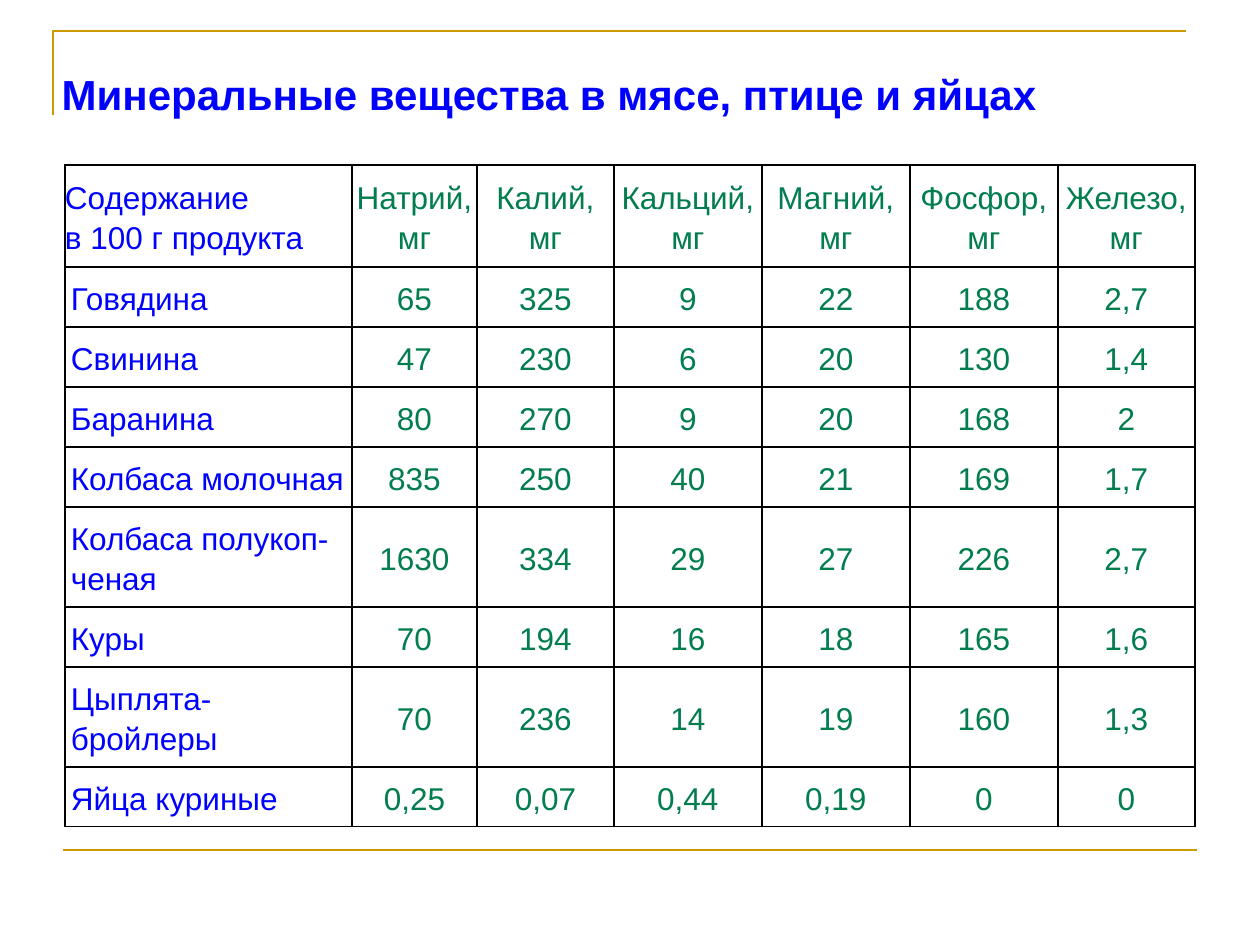
from dataclasses import dataclass

import pptx
import pptx.dml.color
import pptx.enum.text
import pptx.oxml
import pptx.oxml.ns
import pptx.util
from pptx.enum.shapes import MSO_CONNECTOR

PX = 914400 / 126  # EMU in one px


def px(length):
    return pptx.util.Emu(round(length * PX))


def rgb(value):
    return pptx.dml.color.RGBColor.from_string(value)


@dataclass(frozen=True)
class Theme:
    font: str = "Arial"
    label: str = "0000FF"
    value: str = "017D4E"
    rule: str = "CC9900"
    border: str = "000000"
    title_size: int = 24
    table_size: int = 18
    rule_width: float = 1.5
    border_width: int = 1
    line_spacing: float = 1.15


class SlideBuilder:
    def __init__(self, slide, theme):
        self.slide = slide
        self.theme = theme

    def style_line(self, line):
        line.color.rgb = rgb(self.theme.rule)
        line.width = pptx.util.Pt(self.theme.rule_width)

    def style_runs(self, paragraph, size, color, bold=False):
        for run in paragraph.runs:
            run.font.name = self.theme.font
            run.font.size = pptx.util.Pt(size)
            run.font.bold = bold
            run.font.color.rgb = rgb(color)

    def corner(self, start, *points):
        outline = self.slide.shapes.build_freeform(*start, scale=PX)
        outline.add_line_segments(points, close=False)
        bracket = outline.convert_to_shape()
        bracket.shadow.inherit = False
        bracket.fill.background()
        self.style_line(bracket.line)

    def rule(self, x1, y1, x2, y2):
        rule = self.slide.shapes.add_connector(
            MSO_CONNECTOR.STRAIGHT, px(x1), px(y1), px(x2), px(y2))
        self.style_line(rule.line)
        pptx.oxml.ns.qn("a:effectLst")
        rule._element.spPr.append(pptx.oxml.parse_xml(
            f"<a:effectLst {pptx.oxml.ns.nsdecls('a')}/>"))

    def title(self, text, left, top, width, height):
        heading = self.slide.shapes.title
        heading.left, heading.top = px(left), px(top)
        heading.width, heading.height = px(width), px(height)
        frame = heading.text_frame
        frame.text = text
        frame.word_wrap = True
        frame.auto_size = pptx.enum.text.MSO_AUTO_SIZE.SHAPE_TO_FIT_TEXT
        frame.vertical_anchor = pptx.enum.text.MSO_ANCHOR.TOP
        paragraph = frame.paragraphs[0]
        paragraph.alignment = pptx.enum.text.PP_ALIGN.LEFT
        self.style_runs(paragraph, self.theme.title_size, self.theme.label, bold=True)

    def borders(self, cell):
        width = pptx.util.Pt(self.theme.border_width)
        properties = cell._tc.get_or_add_tcPr()
        for side in "LRTB":
            properties.append(pptx.oxml.parse_xml(
                f'<a:ln{side} {pptx.oxml.ns.nsdecls("a")} w="{width}"><a:solidFill>'
                f'<a:srgbClr val="{self.theme.border}"/></a:solidFill></a:ln{side}>'))

    def cell(self, cell, text, margin, is_label):
        align = pptx.enum.text.PP_ALIGN
        self.borders(cell)
        cell.fill.background()
        cell.vertical_anchor = pptx.enum.text.MSO_ANCHOR.MIDDLE
        cell.margin_left = cell.margin_right = px(margin)
        cell.margin_top = cell.margin_bottom = px(margin)
        paragraph = cell.text_frame.paragraphs[0]
        paragraph.text = text
        paragraph.alignment = align.LEFT if is_label else align.CENTER
        paragraph.line_spacing = self.theme.line_spacing
        color = self.theme.label if is_label else self.theme.value
        self.style_runs(paragraph, self.theme.table_size, color)

    def table(self, rows, left, top, column_widths, row_heights):
        table = self.slide.shapes.add_table(
            len(rows), len(column_widths), px(left), px(top),
            px(sum(column_widths)), px(sum(row_heights))).table
        table.first_row = table.horz_banding = False
        for column, width in zip(table.columns, column_widths):
            column.width = px(width)
        for row, height in zip(table.rows, row_heights):
            row.height = px(height)
        for r, texts in enumerate(rows):
            for c, text in enumerate(texts):
                is_label = c == 0
                margin = 0 if r == 0 else 6 if is_label else 8
                self.cell(table.cell(r, c), text, margin, is_label)


MINERALS = ["Натрий", "Калий", "Кальций", "Магний", "Фосфор", "Железо"]
PRODUCTS = [
    ["Говядина", "65", "325", "9", "22", "188", "2,7"],
    ["Свинина", "47", "230", "6", "20", "130", "1,4"],
    ["Баранина", "80", "270", "9", "20", "168", "2"],
    ["Колбаса молочная", "835", "250", "40", "21", "169", "1,7"],
    ["Колбаса полукоп-ченая", "1630", "334", "29", "27", "226", "2,7"],
    ["Куры", "70", "194", "16", "18", "165", "1,6"],
    ["Цыплята-бройлеры", "70", "236", "14", "19", "160", "1,3"],
    ["Яйца куриные", "0,25", "0,07", "0,44", "0,19", "0", "0"],
]


def main():
    deck = pptx.Presentation()
    deck.slide_width, deck.slide_height = px(1260), px(945)
    title_only = deck.slide_layouts[5]
    builder = SlideBuilder(deck.slides.add_slide(title_only), Theme())

    # Frame lines
    builder.corner((53, 115), (53, 31), (1186, 31))
    builder.rule(63, 850, 1197, 850)

    # Title
    builder.title("Минеральные вещества в мясе, птице и яйцах", 49, 62, 1216, 63)

    # Mineral content table
    header = ["Содержание \vв 100 г продукта"] + [f"{name}, мг" for name in MINERALS]
    builder.table([header] + PRODUCTS, 65, 165,
                  column_widths=[287, 125, 137, 148, 148, 148, 137],
                  row_heights=[102, 60, 60, 60, 60, 100, 60, 100, 60])

    deck.save("out.pptx")


if __name__ == "__main__":
    main()
